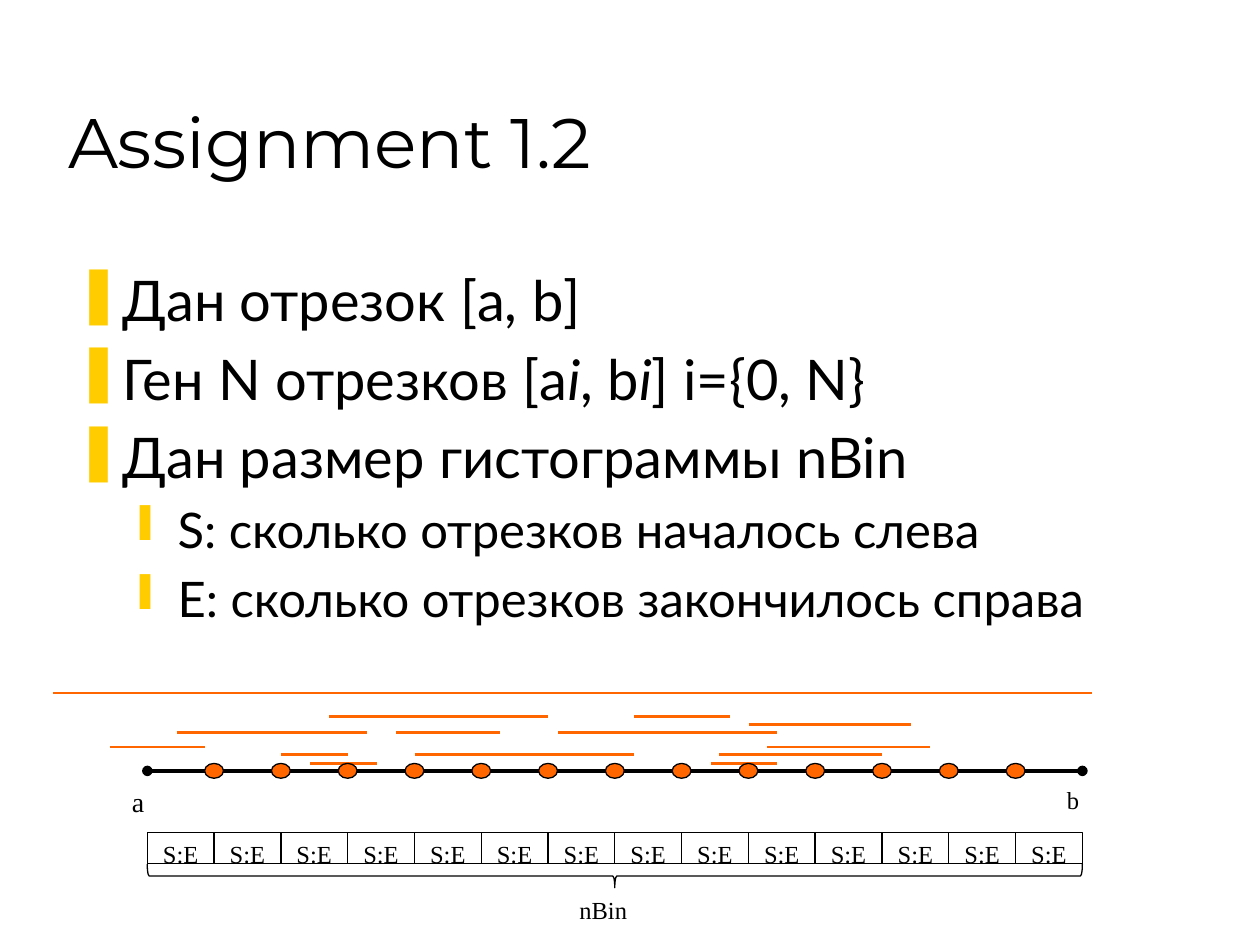
from dataclasses import dataclass

from lxml import etree
from pptx import Presentation
from pptx import util as u
from pptx.dml.color import RGBColor
from pptx.enum import shapes, text
from pptx.oxml import ns

BLACK, WHITE, ORANGE, YELLOW = "000000", "FFFFFF", "FF6600", "FFCC00"
SERIF = "Times New Roman"
AXIS_START, AXIS_END, AXIS_Y = 2.97, 21.82, 15.54
BINS = 14
BIN_WIDTH = (AXIS_END - AXIS_START) / BINS
BIN_TOP, BIN_HEIGHT = 16.79, 0.63
BRACE_HEIGHT = 0.48
DOT_WIDTH, DOT_HEIGHT = 0.38, 0.3


@dataclass(frozen=True)
class Segment:
    start: float
    end: float
    y: float


@dataclass(frozen=True)
class Box:
    left: float
    top: float
    width: float
    height: float


@dataclass(frozen=True)
class Level:
    size: int
    bullet: str
    margin: float
    indent: float


@dataclass(frozen=True)
class Point:
    level: int
    phrases: tuple[str, ...]


LEVELS = (Level(32, "\u275a", 0.95, -0.95), Level(28, "\u2759", 2.06, -0.79))

POINTS = (
    Point(0, ("Дан отрезок [a, b]",)),
    Point(0, ("Ген N отрезков [a", "i", ", b", "i", "] i={0, N}")),
    Point(0, ("Дан размер гистограммы nBin",)),
    Point(1, ("S: сколько отрезков началось слева",)),
    Point(1, ("E: сколько отрезков закончилось справа",)),
)

SEGMENTS = (
    Segment(2.21, 4.14, 15.06),
    Segment(3.56, 7.39, 14.76),
    Segment(5.66, 7.01, 15.21),
    Segment(6.25, 7.59, 15.39),
    Segment(6.63, 11.05, 14.45),
    Segment(7.98, 10.08, 14.76),
    Segment(8.36, 12.78, 15.21),
    Segment(11.25, 15.67, 14.76),
    Segment(12.78, 14.71, 14.45),
    Segment(14.5, 17.78, 15.21),
    Segment(15.09, 18.36, 14.61),
    Segment(1.07, 22.02, 13.97),
    Segment(15.47, 18.75, 15.06),
    Segment(14.33, 15.67, 15.39),
)


def color(value: str) -> RGBColor:
    return RGBColor.from_string(value)


def add_run(paragraph, words: str, font: str, size: int, italic: bool = False) -> None:
    run = paragraph.add_run()
    run.text = words
    run.font.name = font
    run.font.size = u.Pt(size)
    run.font.italic = italic
    run.font.color.rgb = color(BLACK)


def place(shape, box: Box) -> None:
    shape.left, shape.top = u.Cm(box.left), u.Cm(box.top)
    shape.width, shape.height = u.Cm(box.width), u.Cm(box.height)


def add_line(diagram, segment: Segment, stroke: str, width: float, ends: str = "") -> None:
    line = diagram.shapes.add_connector(
        shapes.MSO_CONNECTOR.STRAIGHT,
        u.Cm(segment.start), u.Cm(segment.y), u.Cm(segment.end), u.Cm(segment.y),
    )
    line.line.color.rgb = color(stroke)
    line.line.width = u.Pt(width)
    properties = line._element.spPr
    if ends:
        outline = properties.find(ns.qn("a:ln"))
        for end in ("a:headEnd", "a:tailEnd"):
            etree.SubElement(outline, ns.qn(end), type=ends)
    etree.SubElement(properties, ns.qn("a:effectLst"))


def add_figure(diagram, kind, box: Box, fill: str, outlined: bool = True):
    figure = diagram.shapes.add_shape(
        kind, u.Cm(box.left), u.Cm(box.top), u.Cm(box.width), u.Cm(box.height)
    )
    figure.shadow.inherit = False
    figure.fill.solid()
    figure.fill.fore_color.rgb = color(fill)
    if outlined:
        figure.line.color.rgb = color(BLACK)
        figure.line.width = u.Pt(0.75)
    else:
        figure.line.fill.background()
    return figure


def add_label(diagram, words: str, box: Box, size: int = 14, in_bin: bool = False) -> None:
    label = add_figure(diagram, shapes.MSO_SHAPE.RECTANGLE, box, WHITE, in_bin)
    frame = label.text_frame
    frame.vertical_anchor = text.MSO_ANCHOR.TOP
    paragraph = frame.paragraphs[0]
    paragraph.alignment = text.PP_ALIGN.CENTER if in_bin else text.PP_ALIGN.LEFT
    add_run(paragraph, words, SERIF, size)


def add_point(paragraph, point: Point) -> None:
    level = LEVELS[point.level]
    paragraph.level = point.level
    paragraph.space_before = u.Pt(level.size * 0.2)
    properties = paragraph._p.get_or_add_pPr()
    properties.set("marL", str(u.Cm(level.margin)))
    properties.set("indent", str(u.Cm(level.indent)))
    bullet_color = etree.SubElement(properties, ns.qn("a:buClr"))
    etree.SubElement(bullet_color, ns.qn("a:srgbClr"), val=YELLOW)
    etree.SubElement(properties, ns.qn("a:buChar"), char=level.bullet)
    for words in point.phrases:
        add_run(paragraph, words, "Lato", level.size, words == "i")


def add_heading(slide) -> None:
    heading = slide.shapes.title
    place(heading, Box(1.12, 0.64, 21.59, 3.17))
    frame = heading.text_frame
    frame.auto_size = text.MSO_AUTO_SIZE.NONE
    frame.vertical_anchor = text.MSO_ANCHOR.BOTTOM
    paragraph = frame.paragraphs[0]
    paragraph.alignment = text.PP_ALIGN.LEFT
    add_run(paragraph, "Assignment 1.2", "Montserrat", 40)


def add_task(slide) -> None:
    task = slide.shapes.add_textbox(u.Cm(1.27), u.Cm(5.23), u.Cm(22.71), u.Cm(8.1))
    frame = task.text_frame
    frame.word_wrap = True
    for index, point in enumerate(POINTS):
        add_point(frame.add_paragraph() if index else frame.paragraphs[0], point)


def add_histogram(slide) -> None:
    diagram = slide.shapes.add_group_shape()
    add_line(diagram, Segment(AXIS_START, AXIS_END, AXIS_Y), BLACK, 2, "oval")
    for segment in SEGMENTS:
        add_line(diagram, segment, ORANGE, 1.5)
    add_label(diagram, "a", Box(2.41, 15.7, 0.97, 0.79), 16)
    add_label(diagram, "b", Box(21.26, 15.7, 0.97, 0.79))

    edges = [AXIS_START + index * BIN_WIDTH for index in range(BINS)]
    for edge in edges:
        add_label(diagram, "S:E", Box(edge, BIN_TOP, BIN_WIDTH, BIN_HEIGHT), in_bin=True)

    span = AXIS_END - AXIS_START
    brace_middle = BIN_TOP + BIN_HEIGHT + BRACE_HEIGHT / 2
    brace_box = Box(
        (AXIS_START + AXIS_END - BRACE_HEIGHT) / 2, brace_middle - span / 2, BRACE_HEIGHT, span
    )
    brace = add_figure(diagram, shapes.MSO_SHAPE.LEFT_BRACE, brace_box, WHITE)
    brace.rotation = 270
    add_label(diagram, "nBin", Box(11.43, 17.91, 2.31, 0.94))

    for edge in edges[1:]:
        dot = Box(edge - DOT_WIDTH / 2, AXIS_Y - DOT_HEIGHT / 2, DOT_WIDTH, DOT_HEIGHT)
        add_figure(diagram, shapes.MSO_SHAPE.OVAL, dot, ORANGE)


deck = Presentation()
deck.slide_width, deck.slide_height = u.Cm(25.4), u.Cm(19.05)
assignment = deck.slides.add_slide(deck.slide_layouts[5])
add_heading(assignment)
add_task(assignment)
add_histogram(assignment)
deck.save("out.pptx")
